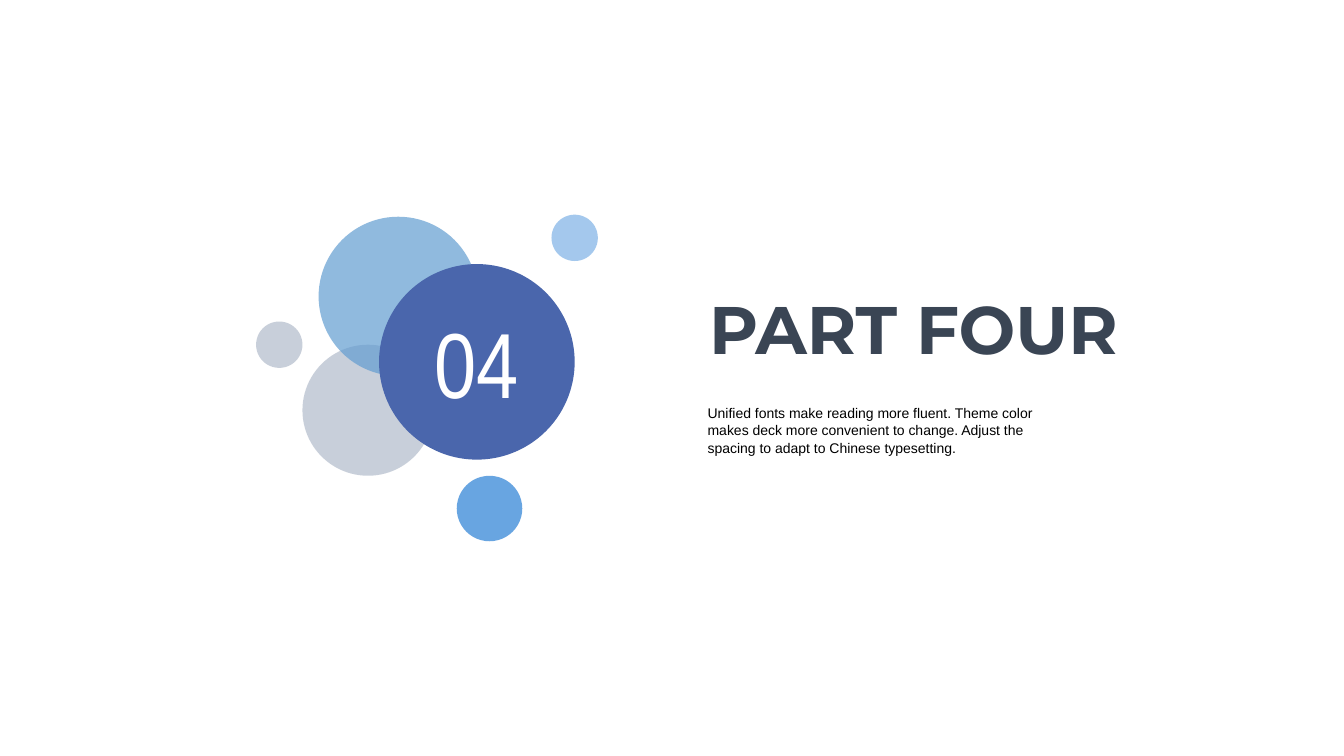
from lxml import etree
from pptx import Presentation
from pptx.dml.color import RGBColor
from pptx.enum.shapes import MSO_SHAPE
from pptx.enum.text import MSO_ANCHOR, MSO_AUTO_SIZE, PP_ALIGN
from pptx.oxml.ns import qn
from pptx.util import Inches, Pt

GREY = RGBColor(0xB2, 0xBC, 0xCB)
SKY = RGBColor(0x62, 0x9D, 0xD1)
INDIGO = RGBColor(0x4A, 0x66, 0xAC)
BLUE = RGBColor(0x29, 0x7F, 0xD5)
PALE_BLUE = RGBColor(0x7E, 0xB2, 0xE6)
SLATE = RGBColor(0x3A, 0x45, 0x54)
WHITE = RGBColor(0xFF, 0xFF, 0xFF)
BLACK = RGBColor(0x00, 0x00, 0x00)

SUMMARY = (
    "Unified fonts make reading more fluent. Theme color makes deck more "
    "convenient to change. Adjust the spacing to adapt to Chinese typesetting."
)


def style_text(frame, text, font_name, size, color, bold=False, align=PP_ALIGN.LEFT):
    frame.text = text
    para = frame.paragraphs[0]
    para.alignment = align
    font = para.font
    font.name, font.size, font.bold = font_name, Pt(size), bold
    font.color.rgb = color


def add_circle(group, left, top, diameter, color, opacity=70):
    """Add a borderless circle with its fill opacity in percent."""
    circle = group.shapes.add_shape(
        MSO_SHAPE.OVAL, Inches(left), Inches(top), Inches(diameter), Inches(diameter)
    )
    circle.shadow.inherit = False
    circle.fill.solid()
    circle.fill.fore_color.rgb = color
    circle.line.fill.background()
    if opacity < 100:
        tint = circle.fill._xPr.find(f"{qn('a:solidFill')}/{qn('a:srgbClr')}")
        etree.SubElement(tint, qn("a:alpha"), val=str(opacity * 1000))
    return circle


def add_bubbles(page, number):
    group = page.shapes.add_group_shape()
    add_circle(group, 3, 3.42, 1.3, GREY)
    add_circle(group, 3.16, 2.15, 1.58, SKY)
    badge = add_circle(group, 3.76, 2.62, 1.94, INDIGO, opacity=100)
    add_circle(group, 4.53, 4.72, 0.65, BLUE)
    add_circle(group, 2.54, 3.19, 0.46, GREY)
    add_circle(group, 5.47, 2.13, 0.46, PALE_BLUE)

    frame = badge.text_frame
    frame.word_wrap = False
    frame.vertical_anchor = MSO_ANCHOR.MIDDLE
    style_text(frame, number, "Arial Narrow", 66, WHITE, align=PP_ALIGN.CENTER)


def set_title(page, text):
    title = page.shapes.title
    title.left, title.top = Inches(6.94), Inches(2.76)
    title.width, title.height = Inches(4.24), Inches(0.99)
    frame = title.text_frame
    frame.word_wrap = False
    frame.auto_size = MSO_AUTO_SIZE.NONE
    frame.vertical_anchor = MSO_ANCHOR.MIDDLE
    frame.margin_left = frame.margin_right = 0
    style_text(frame, text, "Montserrat", 48, SLATE, bold=True, align=PP_ALIGN.CENTER)


def add_summary(page, text):
    box = page.shapes.add_textbox(Inches(6.92), Inches(3.95), Inches(3.58), Inches(0.61))
    frame = box.text_frame
    frame.word_wrap = True
    frame.auto_size = MSO_AUTO_SIZE.SHAPE_TO_FIT_TEXT
    style_text(frame, text, "Arial", 10, BLACK)
    frame.paragraphs[0].line_spacing = 1.06


def main():
    deck = Presentation()
    deck.slide_width, deck.slide_height = Inches(13.33), Inches(7.5)
    page = deck.slides.add_slide(deck.slide_layouts.get_by_name("Title Only"))
    add_bubbles(page, "04")
    set_title(page, "PART FOUR")
    add_summary(page, SUMMARY)
    deck.save("out.pptx")


if __name__ == "__main__":
    main()
